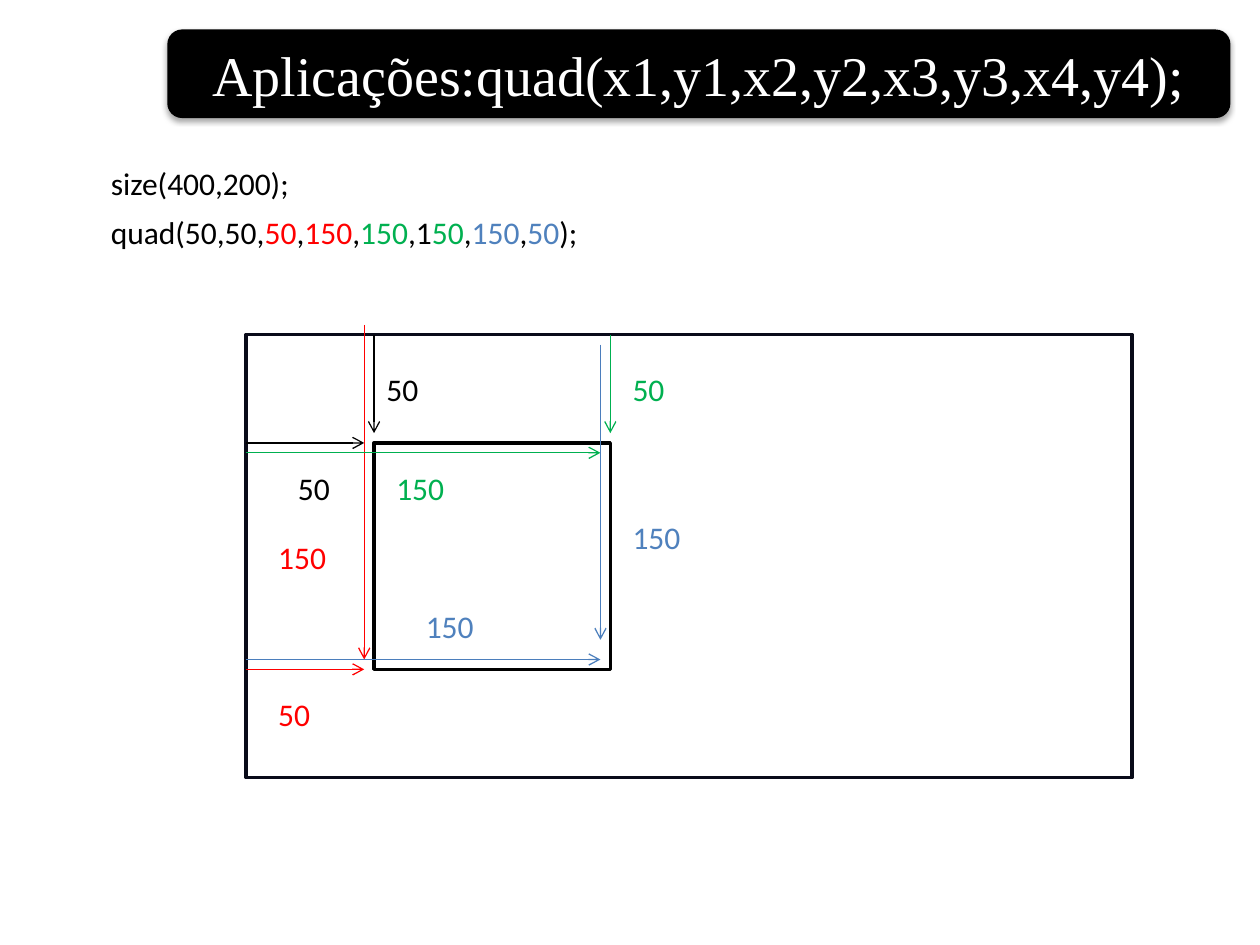
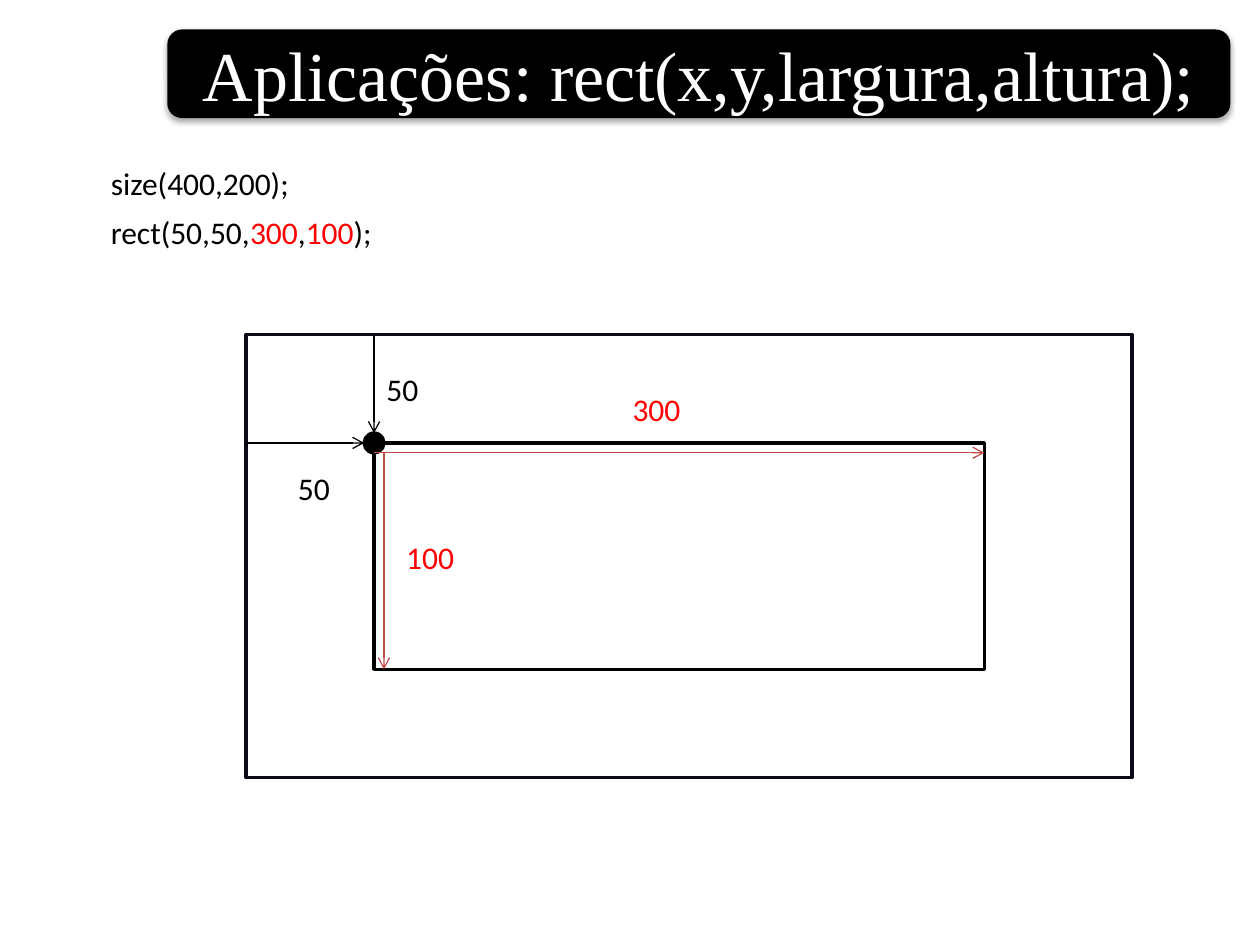
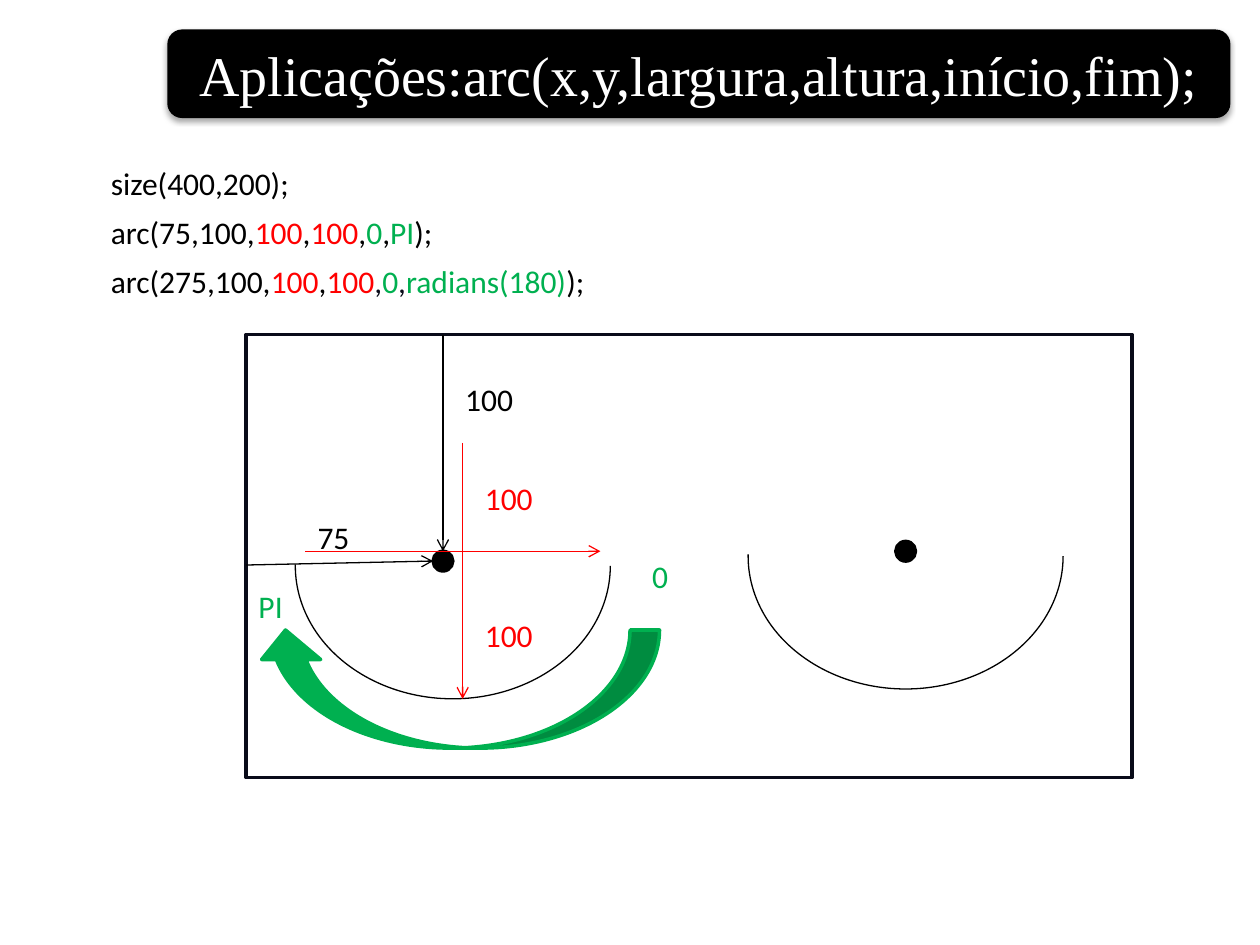
from dataclasses import dataclass
from typing import Any

from lxml import etree
from pptx import Presentation, util as u
from pptx.dml.color import RGBColor
from pptx.enum import shapes, text
from pptx.oxml import ns

COLUMNS, ROWS = 128, 96
CELL = u.Inches(10) / COLUMNS
BLACK, WHITE, INK = "000000", "FFFFFF", "090B19"
RED, GREEN, BLUE = "FF0000", "00B050", "4F81BD"
BLUE_LINE, RED_LINE = "4B7EBC", "BF4C48"
TITLE_FONT, BODY_FONT = "Times New Roman", "Calibri"
THIN, THICK = 0.75, 2
SHAPE = shapes.MSO_SHAPE


def rgb(value):
    return RGBColor.from_string(value)


def cells(*counts):
    return [u.Emu(round(count * CELL)) for count in counts]


def add_child(parent, tag, **attributes):
    return etree.SubElement(parent, ns.qn(tag), attributes)


@dataclass
class Box:
    slide: Any
    column: float
    row: float
    width: float
    height: float

    def place(self, x, y, *size):
        return cells(self.column + x, self.row + y, *size)


def add_figure(box, kind, at, fill=None, line=None, weight=THICK, turn=0):
    figure = box.slide.shapes.add_shape(kind, *box.place(*at))
    figure.shadow.inherit = False
    figure.rotation = turn
    if fill:
        figure.fill.solid()
        figure.fill.fore_color.rgb = rgb(fill)
    else:
        figure.fill.background()
    if line:
        figure.line.color.rgb = rgb(line)
        figure.line.width = u.Pt(weight)
    else:
        figure.line.fill.background()
    return figure


def set_font(paragraph, name, size, color):
    paragraph.font.name = name
    paragraph.font.size = u.Pt(size)
    paragraph.font.color.rgb = rgb(color)


def add_words(box, x, y, width, pieces, color=BLACK):
    words = box.slide.shapes.add_textbox(*box.place(x, y, width, 5))
    frame = words.text_frame
    frame.word_wrap = True
    frame.auto_size = text.MSO_AUTO_SIZE.SHAPE_TO_FIT_TEXT
    paragraph = frame.paragraphs[0]
    set_font(paragraph, BODY_FONT, 18, color)
    for wording, piece_color in pieces:
        run = paragraph.add_run()
        run.text = wording
        if piece_color != color:
            run.font.color.rgb = rgb(piece_color)


def add_label(box, wording, x, y, color=BLACK, width=8):
    add_words(box, x, y, width, [(wording, color)], color)


def add_arrow(box, start, end, color=BLACK):
    arrow = box.slide.shapes.add_connector(
        shapes.MSO_CONNECTOR.STRAIGHT, *box.place(*start), *box.place(*end))
    arrow.line.color.rgb = rgb(color)
    arrow.line.width = u.Pt(THIN)
    add_child(arrow.line._ln, "a:tailEnd", type="arrow")
    add_child(arrow._element.spPr, "a:effectLst")


def add_dot(box, x, y):
    add_figure(box, SHAPE.OVAL, (x - 1, y - 1, 2, 2), BLACK, BLACK)


def add_half_circle(box, x, y):
    arc = add_figure(box, SHAPE.ARC, (x, y, 27, 32), None, BLACK, THIN, 90)
    arc.adjustments[0] = 162
    arc.adjustments[1] = 54.345


def draw_title(box, wording, size):
    banner = add_figure(box, SHAPE.ROUNDED_RECTANGLE, (0, 0, box.width, box.height), BLACK)
    effects = banner._element.spPr.find(ns.qn("a:effectLst"))
    shadow = add_child(effects, "a:outerShdw", blurRad="39400", dist="22900",
                       dir="5400000", rotWithShape="0")
    add_child(add_child(shadow, "a:srgbClr", val=BLACK), "a:alpha", val="35000")
    frame = banner.text_frame
    frame.word_wrap = True
    frame.vertical_anchor = text.MSO_ANCHOR.MIDDLE
    paragraph = frame.paragraphs[0]
    paragraph.alignment = text.PP_ALIGN.CENTER
    set_font(paragraph, TITLE_FONT, size, WHITE)
    paragraph.add_run().text = wording


def draw_code(box, calls):
    add_words(box, 0, 0, 21, [("size(400,200);", BLACK)])
    for line, call in enumerate(calls, 1):
        add_words(box, 0, 5 * line, box.width, call)


def draw_canvas(box):
    add_figure(box, SHAPE.RECTANGLE, (0, 0, box.width, box.height), WHITE, INK)


def draw_origin(box):
    add_arrow(box, (13, 0), (13, 10))
    add_arrow(box, (0, 11), (12, 11))
    add_label(box, "50", 13, 3)
    add_label(box, "50", 4, 13)


def draw_quad(box):
    draw_origin(box)
    add_figure(box, SHAPE.RECTANGLE, (13, 11, 24, 23), None, BLACK)
    for start, end, color in [
        ((0, 34), (12, 34), RED),
        ((12, -1), (12, 33), RED),
        ((37, 0), (37, 10), GREEN),
        ((0, 12), (36, 12), GREEN),
        ((0, 33), (36, 33), BLUE_LINE),
        ((36, 1), (36, 31), BLUE_LINE),
    ]:
        add_arrow(box, start, end, color)
    for wording, x, y, color in [
        ("150", 2, 20, RED),
        ("50", 2, 36, RED),
        ("150", 14, 13, GREEN),
        ("50", 38, 3, GREEN),
        ("150", 38, 18, BLUE),
        ("150", 17, 27, BLUE),
    ]:
        add_label(box, wording, x, y, color)


def draw_rect(box):
    draw_origin(box)
    add_figure(box, SHAPE.RECTANGLE, (13, 11, 62, 23), None, BLACK)
    add_dot(box, 13, 11)
    add_arrow(box, (13, 12), (75, 12), RED_LINE)
    add_arrow(box, (14, 12), (14, 34), RED_LINE)
    add_label(box, "300", 38, 5, RED)
    add_label(box, "100", 15, 20, RED)


def draw_arc(box):
    add_arrow(box, (20, 0), (20, 22))
    add_arrow(box, (0, 23.4), (19, 23))
    add_label(box, "100", 21, 4)
    add_label(box, "75", 6, 18)
    add_dot(box, 20, 23)
    add_half_circle(box, 7.5, 7.5)
    add_arrow(box, (6, 22), (36, 22), RED)
    add_arrow(box, (22, 11), (22, 37), RED)
    add_label(box, "100", 23, 14, RED)
    add_label(box, "100", 23, 28, RED)
    add_figure(box, SHAPE.CURVED_LEFT_ARROW, (15.5, 15.5, 12, 41), GREEN, GREEN, turn=90)
    add_label(box, "0", 40, 22, GREEN, 5)
    add_label(box, "PI", 0, 25, GREEN, 7)
    add_dot(box, 67, 22)
    add_half_circle(box, 53.5, 6.5)


QUAD_CALL = [
    ("quad(50,50,", BLACK), ("50", RED), (",", BLACK), ("150", RED), (",", BLACK),
    ("150", GREEN), (",1", BLACK), ("50", GREEN), (",", BLACK),
    ("150", BLUE), (",", BLACK), ("50", BLUE), (");", BLACK),
]
RECT_CALL = [("rect(50,50,", BLACK), ("300", RED), (",", BLACK), ("100", RED), (");", BLACK)]


def arc_call(opening, finish, comma):
    return [(opening, BLACK), ("100", RED), (",", BLACK), ("100", RED), (",", comma),
            ("0", GREEN), (",", comma), (finish, GREEN), (");", BLACK)]


LESSONS = [
    ("Aplicações:quad(x1,y1,x2,y2,x3,y3,x4,y4);", 32, [QUAD_CALL], draw_quad),
    ("Aplicações: rect(x,y,largura,altura);", 40, [RECT_CALL], draw_rect),
    ("Aplicações:arc(x,y,largura,altura,início,fim);", 32,
     [arc_call("arc(75,100,", "PI", BLACK),
      arc_call("arc(275,100,", "radians(180)", INK)], draw_arc),
]


def main():
    deck = Presentation()
    deck.slide_width, deck.slide_height = cells(COLUMNS, ROWS)
    for title, size, calls, draw_diagram in LESSONS:
        slide = deck.slides.add_slide(deck.slide_layouts[6])
        canvas = Box(slide, 25, 34, 90, 45)
        draw_title(Box(slide, 17, 3, 108, 9), title, size)
        draw_code(Box(slide, 10, 16, 51, 15), calls)
        draw_canvas(canvas)
        draw_diagram(canvas)
    deck.save("out.pptx")


if __name__ == "__main__":
    main()
